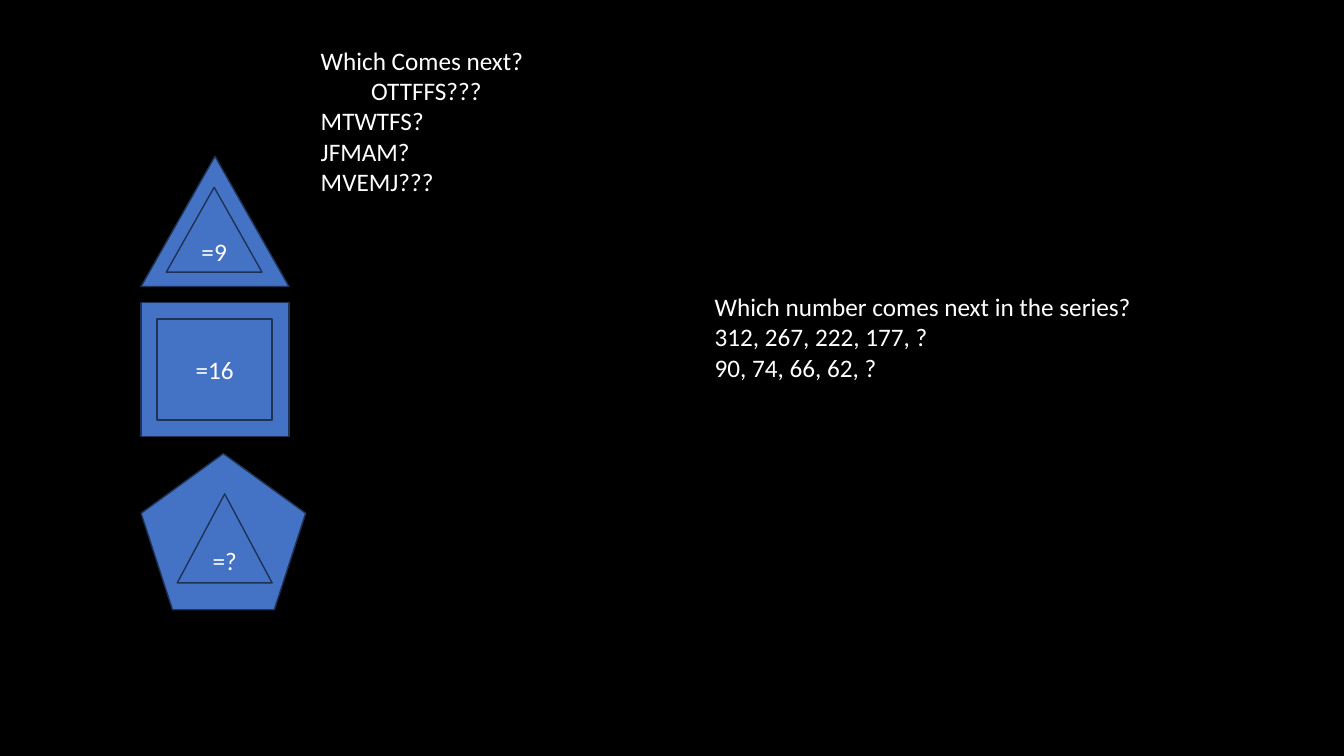
import dataclasses

import pptx
import pptx.dml.color
import pptx.enum.shapes
import pptx.enum.text
import pptx.util

SHAPES = pptx.enum.shapes.MSO_SHAPE


@dataclasses.dataclass(frozen=True)
class Theme:
    background: str = "000000"
    text: str = "FFFFFF"
    fill: str = "4472C4"
    outline: str = "1E3256"
    font: str = "Calibri"
    size: int = 18
    outline_width: int = 1
    indent: float = 0.5


class PuzzlePage:
    """A slide on a grid of 16 columns and 9 rows."""

    COLUMNS, ROWS = 16, 9

    def __init__(self, deck, theme):
        self.theme = theme
        self.column = deck.slide_width / self.COLUMNS
        self.row = deck.slide_height / self.ROWS
        self.page = deck.slides.add_slide(deck.slide_layouts[6])
        self.paint(self.page.background.fill, theme.background)

    def paint(self, fill, color):
        fill.solid()
        fill.fore_color.rgb = pptx.dml.color.RGBColor.from_string(color)

    def place(self, left, top, width, height):
        return (int(left * self.column), int(top * self.row),
                int(width * self.column), int(height * self.row))

    def add_span(self, para, text):
        span = para.add_run()
        span.text = text
        span.font.name = self.theme.font
        span.font.size = pptx.util.Pt(self.theme.size)
        self.paint(span.font.fill, self.theme.text)

    def question(self, area, lines, indented=()):
        box = self.page.shapes.add_textbox(*self.place(*area))
        frame = box.text_frame
        frame.word_wrap = True
        frame.auto_size = pptx.enum.text.MSO_AUTO_SIZE.SHAPE_TO_FIT_TEXT
        for number, line in enumerate(lines):
            para = frame.add_paragraph() if number else frame.paragraphs[0]
            if line in indented:
                margin = pptx.util.Inches(self.theme.indent)
                para._p.get_or_add_pPr().set("marL", str(margin))
            self.add_span(para, line)

    def figure(self, kind, area, label=None):
        shape = self.page.shapes.add_shape(kind, *self.place(*area))
        shape.shadow.inherit = False
        self.paint(shape.fill, self.theme.fill)
        self.paint(shape.line.fill, self.theme.outline)
        shape.line.width = pptx.util.Pt(self.theme.outline_width)
        if label:
            frame = shape.text_frame
            frame.vertical_anchor = pptx.enum.text.MSO_ANCHOR.MIDDLE
            para = frame.paragraphs[0]
            para.alignment = pptx.enum.text.PP_ALIGN.CENTER
            self.add_span(para, label)


def main():
    deck = pptx.Presentation()
    deck.slide_width = pptx.util.Inches(13.33)
    deck.slide_height = pptx.util.Inches(7.5)
    puzzles = PuzzlePage(deck, Theme())

    # Letter series
    puzzles.question(
        (3.7, 0.48, 2.75, 1.94),
        ["Which Comes next?", "OTTFFS???", "MTWTFS?", "JFMAM?", "MVEMJ???"],
        indented=["OTTFFS???"])

    # Nested figures: outer kind and area, inner kind and area, label
    figures_left = 1.68
    nested_figures = [
        (SHAPES.ISOSCELES_TRIANGLE, (1.86, 1.76, 1.55),
         SHAPES.ISOSCELES_TRIANGLE, (1.98, 2.23, 1.14, 1.01), "=9"),
        (SHAPES.RECTANGLE, (3.6, 1.76, 1.6),
         SHAPES.RECTANGLE, (1.87, 3.8, 1.37, 1.2), "=16"),
        (SHAPES.REGULAR_PENTAGON, (5.4, 1.96, 1.86),
         SHAPES.ISOSCELES_TRIANGLE, (2.11, 5.88, 1.13, 1.06), "=?"),
    ]
    for outer, outer_area, inner, inner_area, label in nested_figures:
        puzzles.figure(outer, (figures_left, *outer_area))
        puzzles.figure(inner, inner_area, label)

    # Number series
    puzzles.question(
        (8.39, 3.41, 5.26, 1.21),
        ["Which number comes next in the series?",
         "312, 267, 222, 177, ?", "90, 74, 66, 62, ?"])

    deck.save("out.pptx")


if __name__ == "__main__":
    main()
